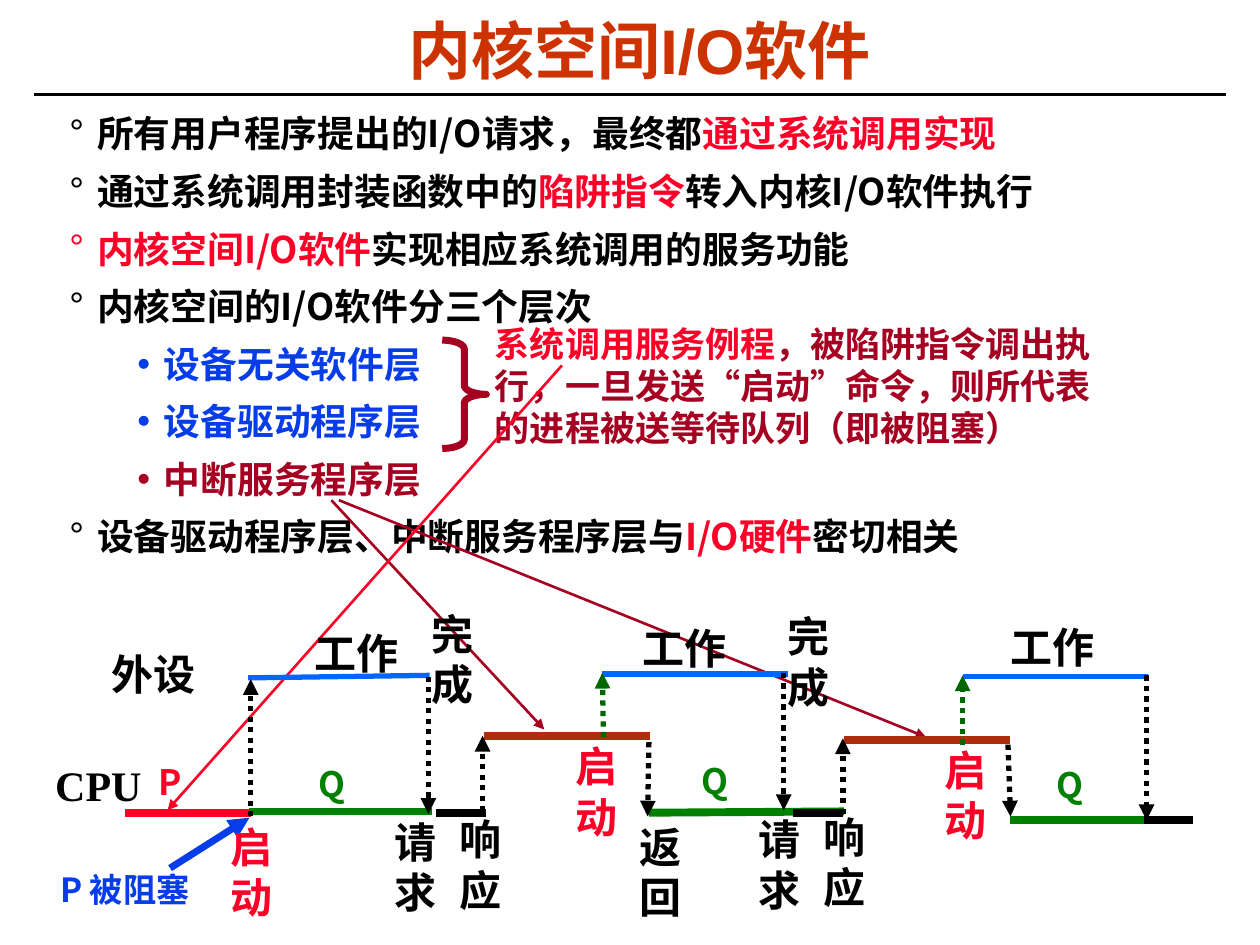
from dataclasses import dataclass

from lxml.etree import SubElement
from pptx import Presentation
from pptx.dml.color import RGBColor
from pptx.enum.dml import MSO_LINE as Dash
from pptx.enum.shapes import MSO_CONNECTOR as Connector, MSO_SHAPE as Preset
from pptx.enum.text import MSO_ANCHOR as Anchor, MSO_AUTO_SIZE as AutoSize, PP_ALIGN as Align
from pptx.oxml.ns import qn
from pptx.util import Inches, Pt

COLUMNS, ROWS = 100, 75
WIDTH, HEIGHT = Inches(10), Inches(7.5)
SANS, SERIF, LATIN = "Noto Sans CJK SC", "Times New Roman", "Arial"
BLACK, RED, MAROON, BLUE = "000000", "FC0128", "A50021", "063DE8"
GREEN, DARK_GREEN, SKY, BROWN, ORANGE = "008000", "006600", "0066FF", "AC2E0C", "CC3300"


@dataclass(frozen=True)
class Stroke:
    """Lines of one look; each segment is x1, y1, x2, y2 in grid units."""
    color: str
    weight: float
    segments: tuple
    arrow: bool = False
    dotted: bool = False


@dataclass(frozen=True)
class Label:
    """One text of one size, shown at each (column, row) place."""
    text: str
    width: float
    height: float
    places: tuple
    color: str = BLACK
    size: float = 24
    font: str = SERIF


@dataclass(frozen=True)
class Item:
    """A list entry of (text, colour) runs."""
    runs: tuple
    level: int = 0


ITEMS = (
    Item((("所有用户程序提出的I/O请求，最终都", BLACK), ("通过系统调用实现", RED))),
    Item((("通过系统调用封装函数中的", BLACK), ("陷阱指令", RED), ("转入内核I/O软件执行", BLACK))),
    Item((("内核空间I/O软件", RED), ("实现相应系统调用的服务功能", BLACK))),
    Item((("内核空间的I/O软件分三个层次", BLACK),)),
    Item((("设备无关软件层", BLUE),), 1),
    Item((("设备驱动程序层", BLUE),), 1),
    Item((("中断服务程序层", MAROON),), 1),
    Item((("设备驱动程序层、中断服务程序层与", BLACK), ("I/O硬件", RED), ("密切相关", BLACK))),
)
NOTE = (
    ("系统调用服务例程", RED),
    ("，被陷阱指令调出执行，一旦发送“启动”命令，则所代表的进程被送等待队列（即被阻塞）", MAROON),
)
STROKES = (
    Stroke(BLACK, 1.5, ((2.7, 7.5, 97.3, 7.5),)),
    Stroke(MAROON, 1.5, ((26.3, 39.7, 43.2, 57.9), (26.9, 39.7, 73.5, 58.5)), arrow=True),
    Stroke(RED, 1.5, ((44.6, 29, 13.3, 64.3),), arrow=True),
    Stroke(RED, 4.5, ((9.9, 64.5, 19.9, 64.5),)),
    Stroke(SKY, 3, ((19.7, 53.8, 34.1, 53.6), (47.8, 53.5, 62.5, 53.5), (76.4, 53.7, 91.1, 53.7))),
    Stroke(GREEN, 4.5, ((51.5, 64.5, 67, 64.4), (80.2, 65.1, 94.1, 65.1))),
    Stroke(GREEN, 4, ((19.8, 64.4, 34.3, 64.4),)),
    Stroke(BROWN, 4.5, ((38.4, 58.4, 51.6, 58.4), (67, 58.7, 80.2, 58.7))),
    Stroke(BLACK, 4.5, ((34.6, 64.5, 38.6, 64.5), (62.9, 64.5, 66.9, 64.5), (90.8, 65.1, 94.7, 65.1))),
    Stroke(BLACK, 3, (
        (19.9, 64.8, 19.9, 53.9), (34, 53.7, 34, 64.6), (38.3, 64.4, 38.3, 58.4),
        (51.5, 58.9, 51.4, 64.8), (62.2, 53.4, 62.2, 64.3), (66.9, 64.6, 66.9, 58.6),
        (80, 59.1, 80.2, 64.8), (91, 53.6, 91, 65.1)), arrow=True, dotted=True),
    Stroke(DARK_GREEN, 3, ((47.9, 58.5, 47.8, 53.4), (76.4, 59.1, 76.4, 53.6)), arrow=True, dotted=True),
    Stroke(BLUE, 4, ((13.5, 68.9, 19.8, 64.9),), arrow=True),
)
LABELS = (
    Label("外设", 9.4, 5, ((7.9, 51),)),
    Label("CPU", 9.4, 5, ((3.4, 59.8),)),
    Label("工作", 11.6, 5, ((24, 49.3), (50, 48.9), (79.2, 48.8))),
    Label("完成", 5, 9, ((33.3, 47.8), (61.5, 48))),
    Label("启动", 5.4, 9, ((17.3, 64.7), (44.7, 58.3), (74, 58.6)), RED),
    Label("请求", 5.7, 9, ((30.3, 64.3), (59.2, 64.1))),
    Label("响应", 5.7, 9, ((35.5, 64.1), (64.4, 63.9))),
    Label("返回", 5.7, 9, ((49.8, 64.7),)),
    Label("P 被阻塞", 13.8, 4.2, ((3.8, 68.5),), BLUE, 19, SANS),
    Label("Q", 6.8, 4.4, ((24.3, 60), (54.7, 59.8), (82.9, 60.1)), GREEN, 20, SANS),
    Label("P", 4.9, 4.4, ((11.6, 59.9),), RED, 20, SANS),
)


def column(count: float) -> int:
    """Return the length of a number of grid columns."""
    return round(WIDTH * count / COLUMNS)


def row(count: float) -> int:
    """Return the length of a number of grid rows."""
    return round(HEIGHT * count / ROWS)


def rgb(value: str) -> RGBColor:
    """Return a colour from its hex string."""
    return RGBColor.from_string(value)


def add_run(paragraph, text: str, *, color: str, size: float, font: str) -> None:
    """Add a bold run with its Latin and East Asian fonts."""
    run = paragraph.add_run()
    run.text = text
    run.font.size, run.font.bold, run.font.name = Pt(size), True, font
    run.font.color.rgb = rgb(color)
    east_asian = SubElement(run.font._element, qn("a:ea"))
    east_asian.set("typeface", SANS)


def place(shape, left: float, top: float, width: float, height: float) -> None:
    """Move and size a shape on the grid."""
    shape.left, shape.top = column(left), row(top)
    shape.width, shape.height = column(width), row(height)


def set_frame(frame, across: float, down: float, fit: AutoSize) -> None:
    """Set wrapping, insets and fitting of a text frame."""
    frame.word_wrap, frame.auto_size = True, fit
    frame.vertical_anchor = Anchor.TOP
    frame.margin_left = frame.margin_right = Inches(across)
    frame.margin_top = frame.margin_bottom = Inches(down)


def add_text(slide, box: tuple, runs: tuple, *, size: float, font: str) -> None:
    """Add a text box holding one paragraph of coloured runs."""
    shape = slide.shapes.add_textbox(0, 0, 0, 0)
    place(shape, *box)
    set_frame(shape.text_frame, 0.1, 0.05, AutoSize.SHAPE_TO_FIT_TEXT)
    for text, color in runs:
        add_run(shape.text_frame.paragraphs[0], text, color=color, size=size, font=font)


def add_stroke(slide, stroke: Stroke) -> None:
    """Draw every segment of a stroke."""
    for x1, y1, x2, y2 in stroke.segments:
        line = slide.shapes.add_connector(Connector.STRAIGHT, column(x1), row(y1), column(x2), row(y2))
        line.line.color.rgb, line.line.width = rgb(stroke.color), Pt(stroke.weight)
        if stroke.dotted:
            line.line.dash_style = Dash.ROUND_DOT
        if stroke.arrow:
            SubElement(line.line._get_or_add_ln(), qn("a:tailEnd")).set("type", "triangle")
        SubElement(line._element.spPr, qn("a:effectLst"))


def fill_title(title) -> None:
    """Write the centred slide title."""
    place(title, 2.6, 1.4, 96.3, 5.8)
    set_frame(title.text_frame, 0.07, 0.03, AutoSize.SHAPE_TO_FIT_TEXT)
    paragraph = title.text_frame.paragraphs[0]
    paragraph.alignment, paragraph.line_spacing = Align.CENTER, 0.87
    add_run(paragraph, "内核空间I/O软件", color=ORANGE, size=36, font=LATIN)


def fill_list(body) -> None:
    """Write the two-level bullet list."""
    place(body, 4.8, 8, 89.6, 36.5)
    frame = body.text_frame
    set_frame(frame, 0.07, 0.03, AutoSize.NONE)
    for index, item in enumerate(ITEMS):
        paragraph = frame.add_paragraph() if index else frame.paragraphs[0]
        paragraph.level, paragraph.line_spacing = item.level, 1.15
        paragraph.space_before = Pt(3.9 if index else 0)
        margin, hanging, bullet = ((0.22, 0.22, "°"), (0.75, 0.21, "•"))[item.level]
        properties = paragraph._p.get_or_add_pPr()
        properties.set("marL", str(Inches(margin)))
        properties.set("indent", str(-Inches(hanging)))
        SubElement(SubElement(properties, qn("a:buClr")), qn("a:srgbClr")).set("val", item.runs[0][1])
        SubElement(properties, qn("a:buFont")).set("typeface", LATIN)
        SubElement(properties, qn("a:buChar")).set("char", bullet)
        for text, color in item.runs:
            add_run(paragraph, text, color=color, size=21, font=SANS)


def add_brace(slide) -> None:
    """Draw the brace that joins the software layers to the note."""
    brace = slide.shapes.add_shape(Preset.RIGHT_BRACE, column(35.1), row(27), column(3.5), row(8.6))
    brace.adjustments[0], brace.adjustments[1] = 0.2, 0.5
    brace.shadow.inherit = False
    brace.fill.background()
    brace.line.color.rgb, brace.line.width = rgb(MAROON), Pt(4)


def main() -> None:
    """Build and save the slide."""
    presentation = Presentation()
    presentation.slide_width, presentation.slide_height = WIDTH, HEIGHT
    slide = presentation.slides.add_slide(presentation.slide_layouts[1])
    fill_title(slide.shapes.title)
    fill_list(slide.placeholders[1])
    add_brace(slide)
    add_text(slide, (38.3, 25.1, 50.6, 11), NOTE, size=20, font=SANS)
    for stroke in STROKES:
        add_stroke(slide, stroke)
    for label in LABELS:
        for left, top in label.places:
            add_text(slide, (left, top, label.width, label.height), ((label.text, label.color),),
                     size=label.size, font=label.font)
    presentation.save("out.pptx")


if __name__ == "__main__":
    main()
